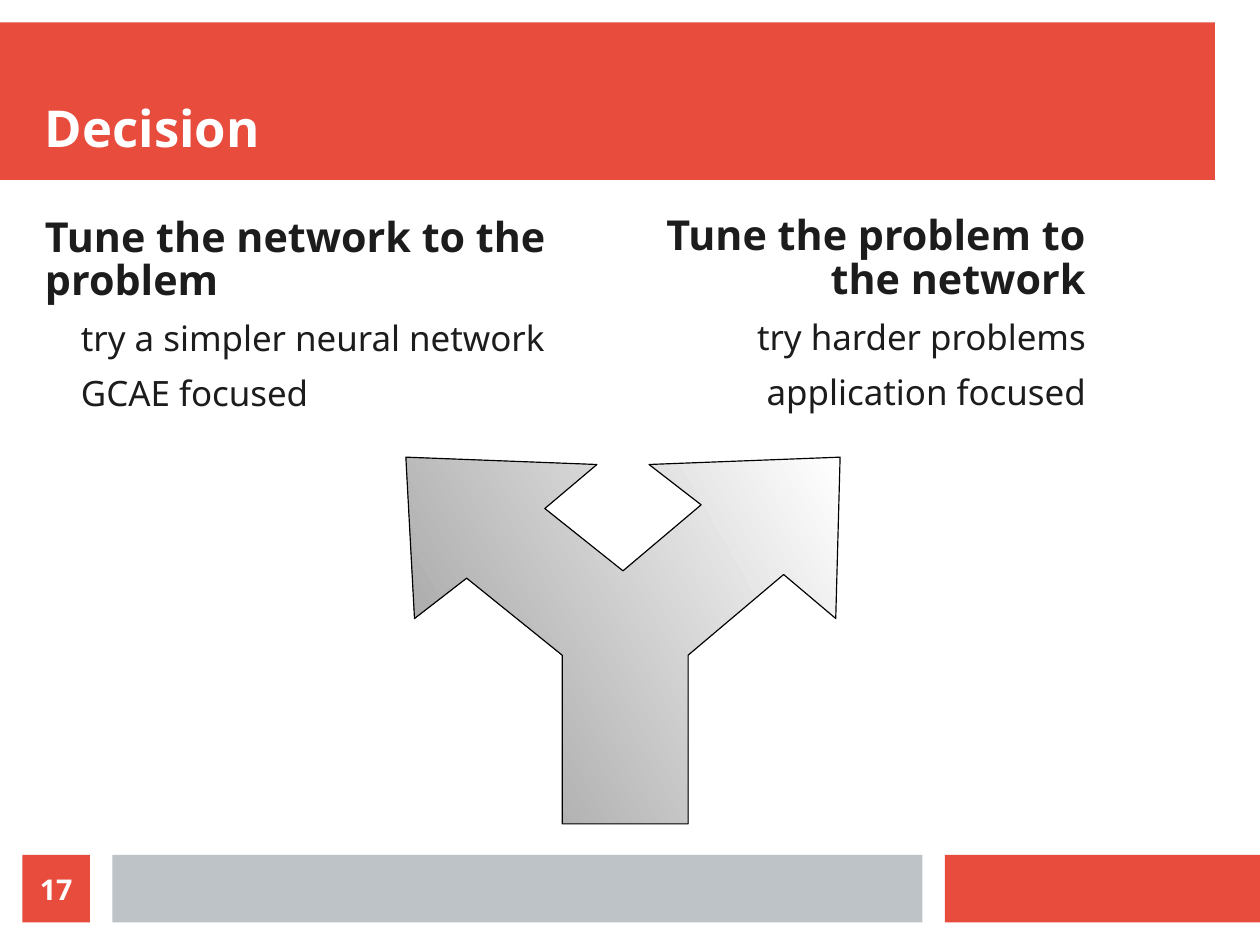
from pptx import Presentation
from pptx.dml.color import RGBColor
from pptx.enum import shapes, text
from pptx.util import Cm, Pt

RED, GREY, INK, WHITE = "E74C3C", "BDC3C7", "1C1C1C", "FFFFFF"
FONT = "Noto Sans"
LEFT, CENTER, RIGHT = text.PP_ALIGN.LEFT, text.PP_ALIGN.CENTER, text.PP_ALIGN.RIGHT


def rgb(value):
    return RGBColor.from_string(value)


def add_bar(slide, left, top, width, height, color):
    bar = slide.shapes.add_shape(shapes.MSO_SHAPE.RECTANGLE,
                                 Cm(left), Cm(top), Cm(width), Cm(height))
    bar.shadow.inherit = False
    bar.fill.solid()
    bar.fill.fore_color.rgb = rgb(color)
    bar.line.fill.background()
    return bar


def prepare_frame(shape, anchor):
    """Remove the margins, wrap the text and anchor it."""
    frame = shape.text_frame
    frame.margin_left = frame.margin_top = 0
    frame.margin_right = frame.margin_bottom = 0
    frame.word_wrap = True
    frame.vertical_anchor = anchor
    return frame


def write(paragraph, words, size, color=INK, bold=False, align=LEFT,
          after=0, spacing=1.0, indent=0):
    paragraph.text = words
    paragraph.alignment = align
    paragraph.space_after = Pt(after)
    paragraph.line_spacing = spacing
    if indent:
        paragraph._p.get_or_add_pPr().set("marL", str(Cm(indent)))
    font = paragraph.font
    font.name, font.size, font.bold = FONT, Pt(size), bold
    font.color.rgb = rgb(color)


def add_header(slide, left, top, width, height, title):
    add_bar(slide, left, top, width, height, RED)
    box = slide.shapes.add_textbox(Cm(left + 1), Cm(top + 0.5),
                                   Cm(width - 1), Cm(height - 1))
    frame = prepare_frame(box, text.MSO_ANCHOR.BOTTOM)
    write(frame.paragraphs[0], title, 32, WHITE, bold=True)


def add_footer(slide, left, top, width, height, number):
    """Place the number square, the grey bar and the red bar."""
    gap, grey_width = 0.5, 18
    square = add_bar(slide, left, top, height, height, RED)
    frame = prepare_frame(square, text.MSO_ANCHOR.MIDDLE)
    write(frame.paragraphs[0], number, 18, WHITE, bold=True, align=CENTER)
    grey_left = left + height + gap
    add_bar(slide, grey_left, top, grey_width, height, GREY)
    red_left = grey_left + grey_width + gap
    add_bar(slide, red_left, top, left + width - red_left, height, RED)


def add_option(slide, left, top, width, height, heading, points, align):
    box = slide.shapes.add_textbox(Cm(left), Cm(top), Cm(width), Cm(height))
    frame = prepare_frame(box, text.MSO_ANCHOR.TOP)
    write(frame.paragraphs[0], heading, 26, bold=True, align=align,
          after=11.4, spacing=0.88)
    for point in points:
        write(frame.add_paragraph(), point, 22, align=align,
              after=11.3, spacing=0.88, indent=0.8)


def add_fork(slide, left, top, width, height):
    """Draw the two-way arrow; corners are fractions of the box."""
    corners = [(0.56, 0.02), (0.68, 0.13), (0.5, 0.31), (0.32, 0.14),
               (0.44, 0.02), (0, 0), (0.02, 0.44), (0.14, 0.33),
               (0.36, 0.54), (0.36, 1), (0.65, 1), (0.65, 0.54),
               (0.87, 0.32), (0.99, 0.44), (1, 0)]
    outline = [(Cm(left + x * width), Cm(top + y * height)) for x, y in corners]
    builder = slide.shapes.build_freeform(*outline[0])
    builder.add_line_segments(outline[1:], close=True)
    fork = builder.convert_to_shape()
    fork.shadow.inherit = False
    fork.fill.gradient()
    fork.fill.gradient_angle = 210
    for stop, color in zip(fork.fill.gradient_stops, (WHITE, "999999")):
        stop.color.rgb = rgb(color)
    fork.line.color.rgb = rgb("000000")
    fork.line.width = Pt(0)


def main():
    deck = Presentation()
    deck.slide_width, deck.slide_height = Cm(28), Cm(21)
    slide = deck.slides.add_slide(deck.slide_layouts[6])
    add_header(slide, 0, 0.5, 27, 3.5, "Decision")
    add_option(slide, 1, 4.83, 12.22, 5.16, "Tune the network to the problem",
               ["try a simpler neural network", "GCAE focused"], LEFT)
    add_fork(slide, 9.02, 10.16, 9.65, 8.15)
    add_option(slide, 14.48, 4.8, 9.65, 5.05, "Tune the problem to the network",
               ["try harder problems", "application focused"], RIGHT)
    add_footer(slide, 0.5, 19, 27.5, 1.5, "17")
    deck.save("out.pptx")


if __name__ == "__main__":
    main()
